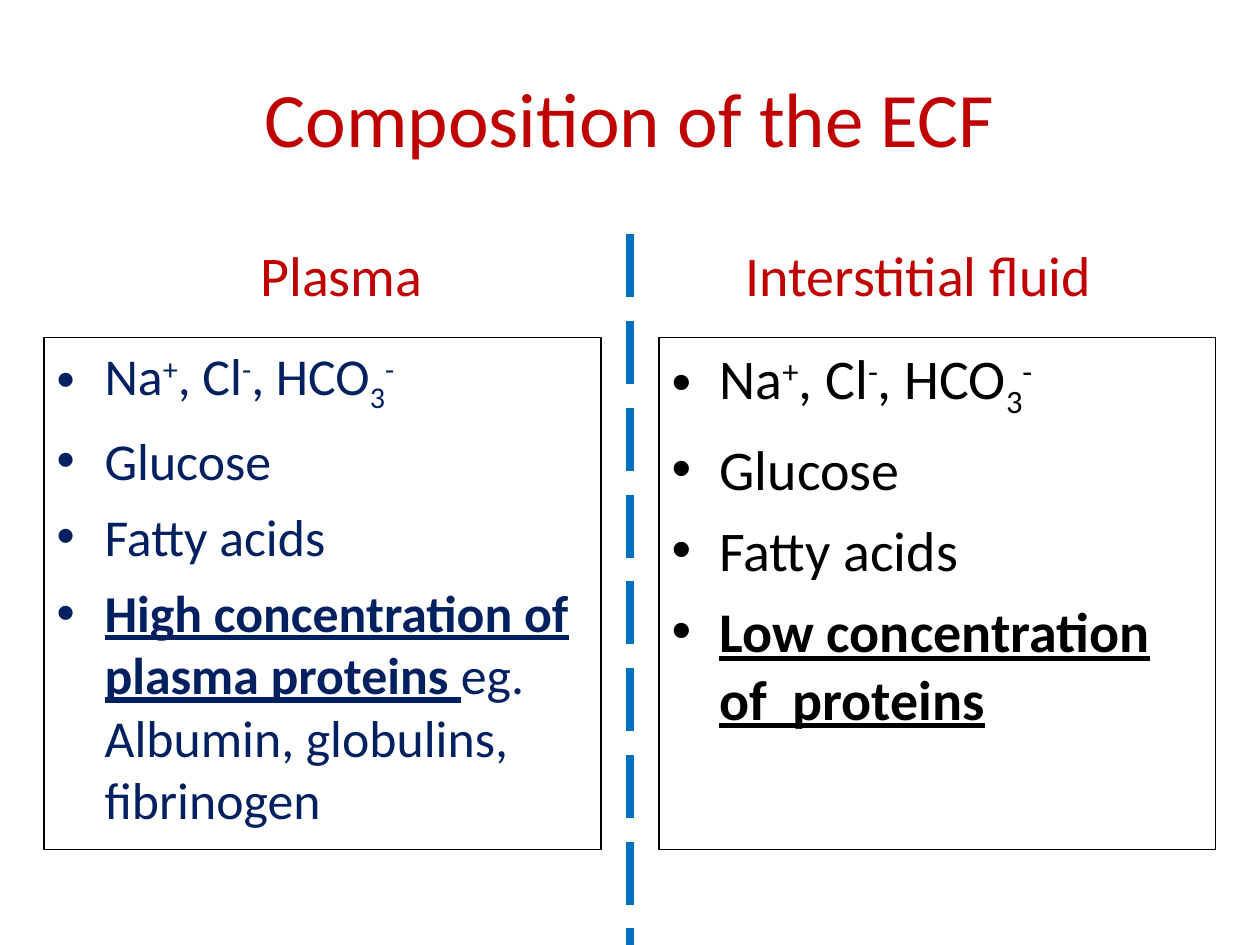
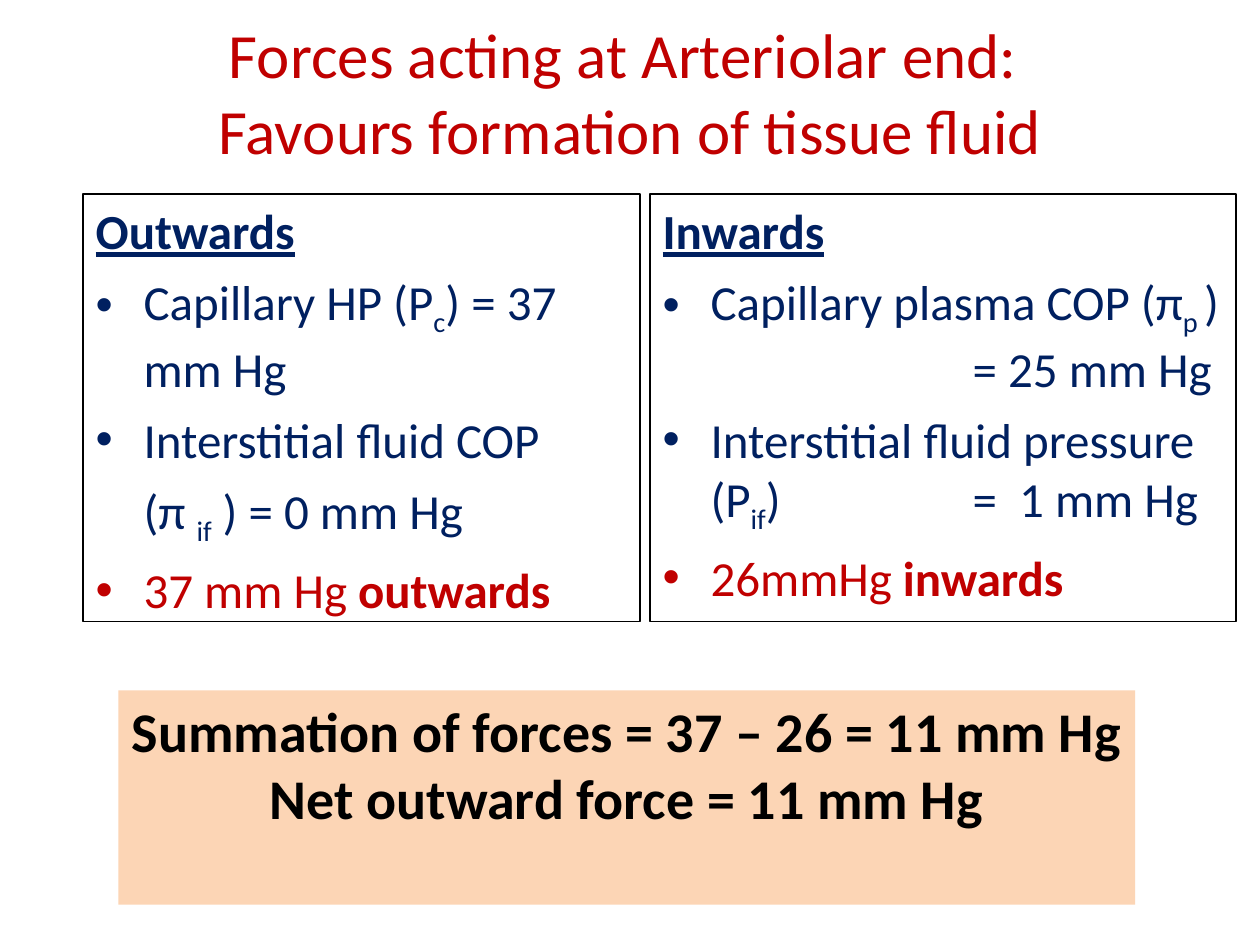
from pptx import Presentation
from pptx.dml.color import RGBColor
from pptx.enum import dml, shapes, text
from pptx.oxml import ns, xmlchemy
from pptx.util import Inches, Pt

RED = RGBColor(0xC0, 0x00, 0x00)
NAVY = RGBColor(0x00, 0x20, 0x60)
BLUE = RGBColor(0x00, 0x70, 0xC0)
BLACK = RGBColor(0x00, 0x00, 0x00)
PEACH = RGBColor(0xFC, 0xD5, 0xB5)
FONT = "Calibri"
COMPARISON, TWO_CONTENT = 4, 3  # layout numbers
INDENT = Inches(0.38)
RESULT_TAB = Inches(2.46)
BASELINES = {"sup": "30000", "sub": "-25000"}


def place(shape, left, top, width, height):
    shape.left, shape.top = Inches(left), Inches(top)
    shape.width, shape.height = Inches(width), Inches(height)
    frame = shape.text_frame
    frame.word_wrap = True
    frame.auto_size = text.MSO_AUTO_SIZE.NONE
    return frame


def fill_list(box, items, size, gap):
    """Write (kind, colour, spans) items into a thinly outlined list box."""
    box.line.color.rgb = BLACK
    box.line.width = Pt(0.75)
    frame = box.text_frame
    for number, (kind, color, spans) in enumerate(items):
        para = frame.add_paragraph() if number else frame.paragraphs[0]
        props = para._p.get_or_add_pPr()
        props.set("marL", str(0 if kind == "heading" else INDENT))
        props.set("indent", str(-INDENT if kind == "bullet" else 0))
        if kind != "bullet":
            props.append(xmlchemy.OxmlElement("a:buNone"))
        if any("\t" in words for words, style in spans):
            tabs = xmlchemy.OxmlElement("a:tabLst")
            tab = xmlchemy.OxmlElement("a:tab")
            tab.set("pos", str(RESULT_TAB))
            tab.set("algn", "l")
            tabs.append(tab)
            props.append(tabs)
        para.space_before = Pt(gap if number else 0)
        para.font.name, para.font.size = FONT, Pt(size)
        para.font.color.rgb = color
        for words, style in spans:
            if words == "\n":
                para.add_line_break()
                continue
            span = para.add_run()
            span.text = words
            if style in BASELINES:
                span.font._element.set("baseline", BASELINES[style])
            elif style:
                span.font.bold = True
                span.font.underline = style == "key" or None


deck = Presentation()
deck.slide_width, deck.slide_height = Inches(10), Inches(7.5)

# Titles of both slides
titles = [
    (COMPARISON, "Composition of the ECF", 44, 0.3),
    (TWO_CONTENT, "Forces acting at Arteriolar end: \vFavours formation of tissue fluid", 36, 0.1),
]
pages = []
for layout, words, size, top in titles:
    page = deck.slides.add_slide(deck.slide_layouts[layout])
    frame = place(page.shapes.title, 0.5, top, 9, 1.25)
    frame.vertical_anchor = text.MSO_ANCHOR.MIDDLE
    frame.text = words
    para = frame.paragraphs[0]
    para.alignment = text.PP_ALIGN.CENTER
    para.font.name, para.font.size = FONT, Pt(size)
    para.font.color.rgb = RED
    pages.append(page)
composition, forces = pages

# Slide 1: plasma against interstitial fluid
ions = [("Na", ""), ("+", "sup"), (", Cl", ""), ("-", "sup"),
        (", HCO", ""), ("3", "sub"), ("-", "sup")]
shared = [ions, [("Glucose", "")], [("Fatty acids", "")]]
plasma_proteins = [("High concentration of plasma proteins ", "key"),
                   ("eg. Albumin, globulins, fibrinogen", "")]
tissue_proteins = [("Low concentration of  proteins", "key")]
columns = [
    ("Plasma", 1, 0.5, 0.35, NAVY, 29.6, plasma_proteins),
    ("Interstitial fluid", 3, 5.08, 5.23, BLACK, 32, tissue_proteins),
]
for heading, index, heading_left, list_left, color, size, proteins in columns:
    frame = place(composition.placeholders[index], heading_left, 1.86, 4.42, 0.78)
    frame.vertical_anchor = text.MSO_ANCHOR.TOP
    frame.text = heading
    para = frame.paragraphs[0]
    para.alignment = text.PP_ALIGN.CENTER
    para.space_before = Pt(0)
    para.font.name, para.font.size = FONT, Pt(32)
    para.font.bold = False
    para.font.color.rgb = RED
    box = composition.placeholders[index + 1]
    place(box, list_left, 2.68, 4.42, 4.06)
    items = [("bullet", color, spans) for spans in shared + [proteins]]
    fill_list(box, items, size, 8)

divider = composition.shapes.add_connector(
    shapes.MSO_CONNECTOR.STRAIGHT, Inches(5), Inches(1.86), Inches(5), Inches(7.5))
divider.line.color.rgb = BLUE
divider.line.width = Pt(4.5)
divider.line.dash_style = dml.MSO_LINE.LONG_DASH
divider._element.find(ns.qn("p:spPr")).append(xmlchemy.OxmlElement("a:effectLst"))

# Slide 2: outward and inward forces
outwards = [
    ("heading", NAVY, [("Outwards", "key")]),
    ("bullet", NAVY, [("Capillary HP (P", ""), ("c", "sub"), (") = 37 mm Hg", "")]),
    ("bullet", NAVY, [("Interstitial fluid COP", "")]),
    ("plain", NAVY, [("(π ", ""), ("if", "sub"), (" ) = 0 mm Hg", "")]),
    ("bullet", RED, [("37 mm Hg ", ""), ("outwards", "bold")]),
]
inwards = [
    ("heading", NAVY, [("Inwards", "key")]),
    ("bullet", NAVY, [("Capillary plasma COP (π", ""), ("p ", "sub"), (")", ""),
                      ("\n", ""), ("\t= 25 mm Hg", "")]),
    ("bullet", NAVY, [("Interstitial fluid pressure (P", ""), ("if", "sub"),
                      (")\t=  1 mm Hg", "")]),
    ("bullet", RED, [("26mmHg ", ""), ("inwards", "bold")]),
]
for index, left, width, items in [(1, 0.66, 4.42, outwards), (2, 5.16, 4.65, inwards)]:
    box = forces.placeholders[index]
    place(box, left, 1.54, width, 3.39)
    fill_list(box, items, 28, 7)

summary = forces.shapes.add_shape(shapes.MSO_SHAPE.RECTANGLE, 0, 0, 0, 0)
frame = place(summary, 0.94, 5.48, 8.07, 1.7)
summary.shadow.inherit = False
summary.fill.solid()
summary.fill.fore_color.rgb = PEACH
summary.line.fill.background()
frame.word_wrap = False
frame.vertical_anchor = text.MSO_ANCHOR.TOP
frame.text = "Summation of forces = 37 – 26 = 11 mm Hg\nNet outward force = 11 mm Hg"
for para in frame.paragraphs:
    para.alignment = text.PP_ALIGN.CENTER
    para.font.name, para.font.size = FONT, Pt(32)
    para.font.bold = True
    para.font.color.rgb = BLACK

deck.save("out.pptx")
